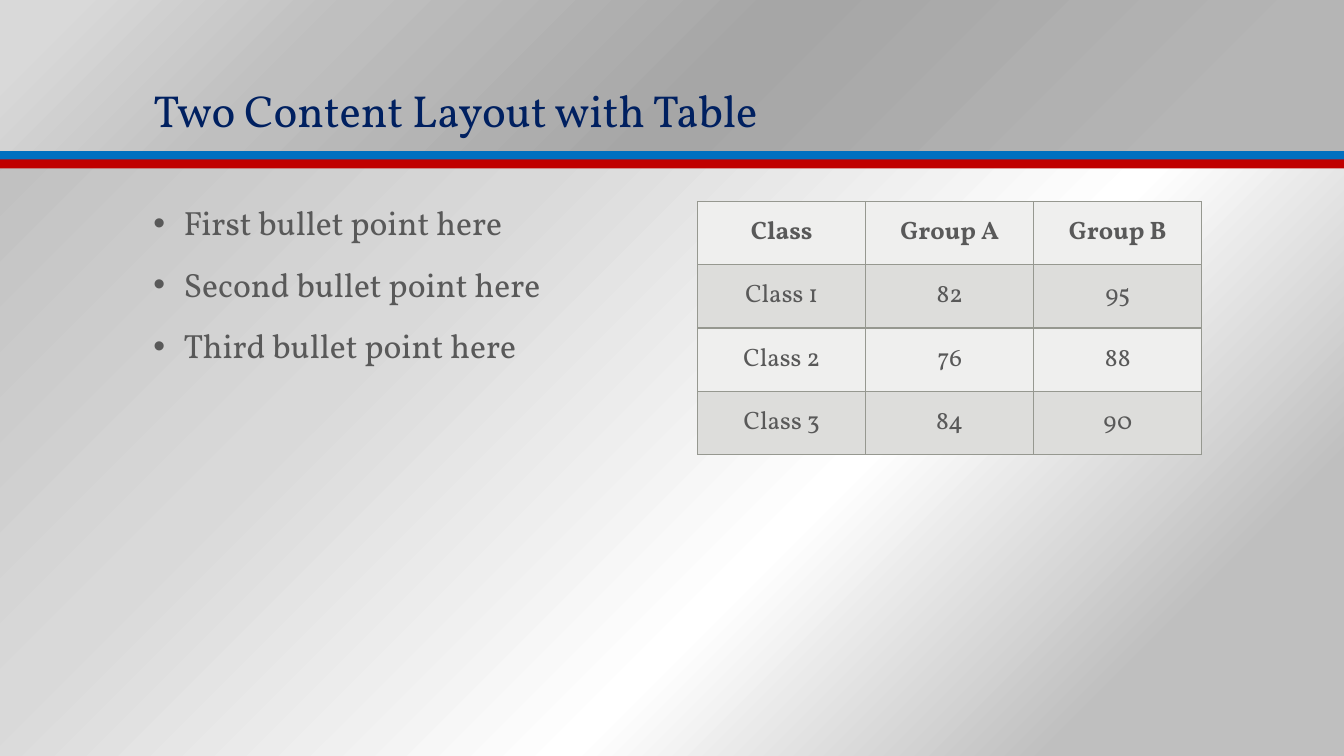
from dataclasses import dataclass

from lxml import etree
from pptx import Presentation
from pptx import util as u
from pptx.dml.color import RGBColor
from pptx.enum import shapes, text
from pptx.oxml.ns import qn


@dataclass(frozen=True)
class Theme:
    font: str = "Vollkorn"
    title_size: int = 32
    list_size: int = 24
    table_size: int = 18
    navy: str = "002060"
    gray: str = "595959"
    blue: str = "0070C0"
    red: str = "C00000"
    border: str = "969890"
    row_fills: tuple = ("EFEFEE", "DDDDDB")
    page_stops: tuple = ((14, "BFBFBF"), (37, "FFFFFF"), (66, "D9D9D9"), (94, "BFBFBF"))
    header_stops: tuple = ((5, "D9D9D9"), (24, "BFBFBF"), (53, "A6A6A6"), (90, "B5B5B5"))


THEME = Theme()


def color(value):
    return RGBColor.from_string(value)


def add_node(parent, tag, **attributes):
    return etree.SubElement(parent, qn(tag), {k: str(v) for k, v in attributes.items()})


def place(item, box):
    item.left, item.top, item.width, item.height = (u.Inches(side) for side in box)


def style(para, size, tint, bold=False):
    font = para.font
    font.name, font.size, font.bold = THEME.font, u.Pt(size), bold
    font.color.rgb = color(tint)


def radial_gradient(fill, owner, stops, focus):
    """Fill with rings that spread from a corner; focus is left, top, right, bottom."""
    fill.gradient()
    gradient = next(owner.iter(qn("a:gradFill")))
    for child in list(gradient):
        gradient.remove(child)
    stop_list = add_node(gradient, "a:gsLst")
    for percent, tint in stops:
        stop = add_node(stop_list, "a:gs", pos=percent * 1000)
        add_node(stop, "a:srgbClr", val=tint)
    rings = add_node(gradient, "a:path", path="circle")
    sides = {side: share * 1000 for side, share in zip("ltrb", focus)}
    add_node(rings, "a:fillToRect", **sides)


def add_band(page, box):
    band = page.shapes.add_shape(shapes.MSO_SHAPE.RECTANGLE, 0, 0, 0, 0)
    place(band, box)
    band.shadow.inherit = False
    band.line.fill.background()
    return band


def add_header(page, box):
    """Gradient header with two stripes along its lower edge."""
    left, top, width, height = box
    header = add_band(page, box)
    radial_gradient(header.fill, header.element, THEME.header_stops, (0, 0, 100, 100))
    for index, tint in enumerate((THEME.blue, THEME.red)):
        stripe = add_band(page, (left, top + height + index * 0.08, width, 0.09))
        stripe.fill.solid()
        stripe.fill.fore_color.rgb = color(tint)


def fill_title(title, box, wording):
    place(title, box)
    frame = title.text_frame
    frame.text = wording
    frame.vertical_anchor = text.MSO_ANCHOR.BOTTOM
    frame.auto_size = text.MSO_AUTO_SIZE.NONE
    para = frame.paragraphs[0]
    para.alignment = text.PP_ALIGN.LEFT
    para.line_spacing = 0.9
    style(para, THEME.title_size, THEME.navy)


def fill_list(body, box, points):
    place(body, box)
    frame = body.text_frame
    frame.text = "\n".join(points)
    frame.auto_size = text.MSO_AUTO_SIZE.NONE
    indent = u.Inches(0.3)
    for para in frame.paragraphs:
        para.line_spacing = 0.9
        para.space_before = u.Pt(18)
        style(para, THEME.list_size, THEME.gray)
        settings = para._p.get_or_add_pPr()
        settings.set("marL", str(indent))
        settings.set("indent", str(-indent))


def add_borders(cell):
    settings = cell._tc.get_or_add_tcPr()
    for index, side in enumerate("LRTB"):
        line = add_node(settings, f"a:ln{side}", w=u.Pt(1))
        add_node(add_node(line, "a:solidFill"), "a:srgbClr", val=THEME.border)
        settings.insert(index, line)  # borders come before the cell fill


def add_scores(page, box, rows):
    """Table with equal cells and alternating row fills."""
    sides = [u.Inches(side) for side in box]
    table = page.shapes.add_table(len(rows), len(rows[0]), *sides).table
    for row_index, values in enumerate(rows):
        for column_index, value in enumerate(values):
            cell = table.cell(row_index, column_index)
            cell.text = value
            cell.vertical_anchor = text.MSO_ANCHOR.MIDDLE
            cell.fill.solid()
            cell.fill.fore_color.rgb = color(THEME.row_fills[row_index % 2])
            para = cell.text_frame.paragraphs[0]
            para.alignment = text.PP_ALIGN.CENTER
            style(para, THEME.table_size, THEME.gray, bold=row_index == 0)
            add_borders(cell)


def build_content_page(deck):
    page = deck.slides.add_slide(deck.slide_layouts[1])
    radial_gradient(page.background.fill, page.element, THEME.page_stops, (100, 100, 0, 0))
    add_header(page, (0, 0, 13.33, 1.5))

    # Bring the placeholders in front of the header
    title, body = page.placeholders
    for holder in (title, body):
        holder.element.getparent().append(holder.element)

    fill_title(title, (1.42, 0.28, 10.5, 1.13), "Two Content Layout with Table")
    fill_list(body, (1.42, 2, 10.5, 4.75),
              [f"{rank} bullet point here" for rank in ("First", "Second", "Third")])
    add_scores(page, (6.92, 2, 5, 2.51), [
        ("Class", "Group A", "Group B"),
        ("Class 1", "82", "95"),
        ("Class 2", "76", "88"),
        ("Class 3", "84", "90"),
    ])


deck = Presentation()
deck.slide_width, deck.slide_height = u.Inches(13.33), u.Inches(7.5)
build_content_page(deck)
deck.save("out.pptx")
